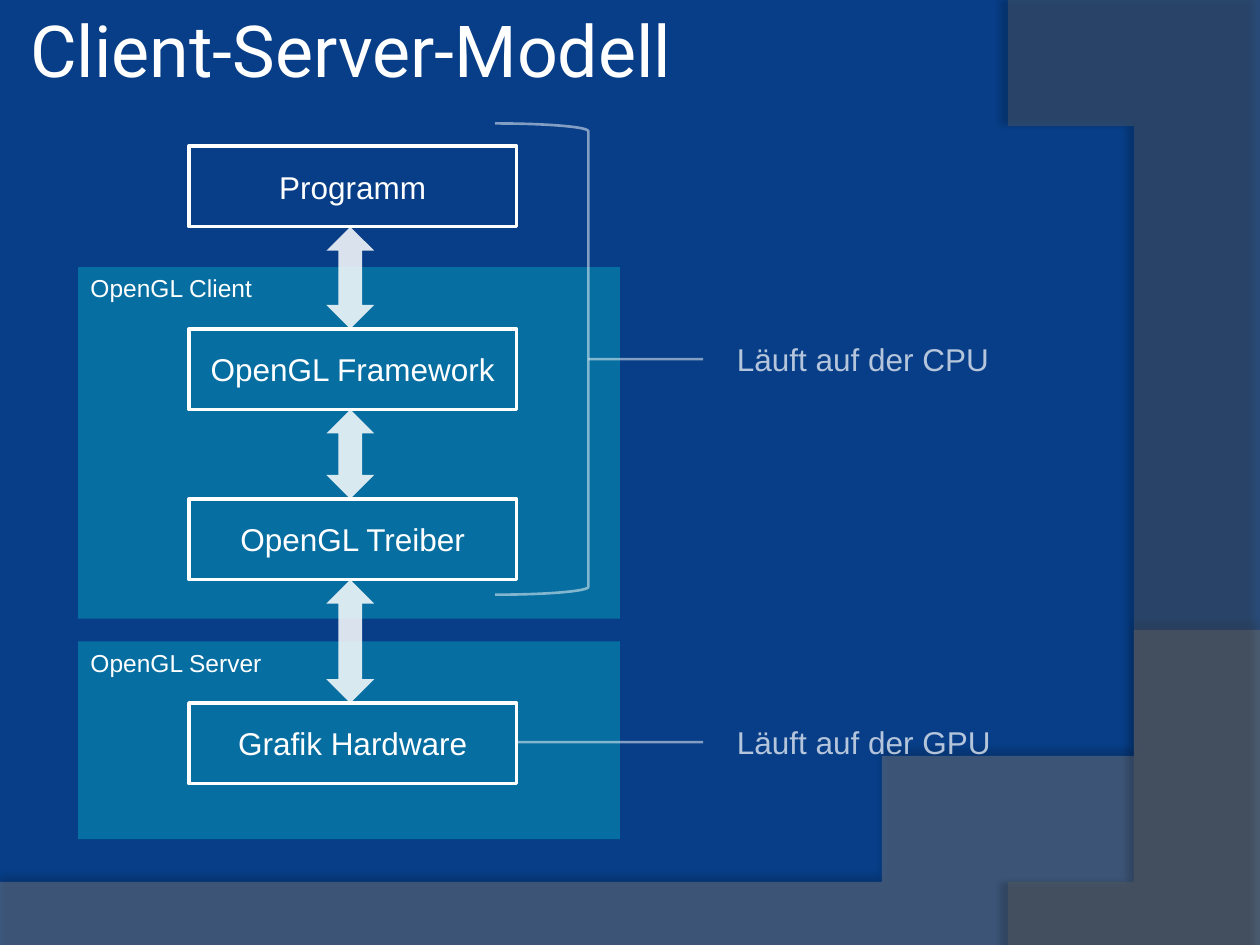
"""Build the slide about the OpenGL client-server model."""
from itertools import pairwise

from lxml.etree import SubElement
from pptx import Presentation
from pptx.dml.color import RGBColor
from pptx.enum.shapes import MSO_CONNECTOR as Connector, MSO_SHAPE as Shape
from pptx.enum.text import MSO_ANCHOR as Anchor, PP_ALIGN as Align
from pptx.oxml.ns import qn
from pptx.util import Inches, Pt


def rgb(value):
    return RGBColor.from_string(value)


def curve(start, control_1, control_2, end, steps=40):
    points = []
    for step in range(steps + 1):
        t = step / steps
        weights = ((1 - t) ** 3, 3 * t * (1 - t) ** 2, 3 * t**2 * (1 - t), t**3)
        axes = zip(start, control_1, control_2, end)
        points.append(tuple(sum(w * v for w, v in zip(weights, axis)) for axis in axes))
    return points


class ModelSlide:
    """Hold the style and the current slide, and draw each kind of element."""

    navy, white, cyan = "073E87", "FFFFFF", "05E0DB"
    body_font, title_font = "Arial", "Roboto"

    def __init__(self, deck):
        self.slide = deck.slides.add_slide(deck.slide_layouts[6])
        self.shapes = self.slide.shapes
        background = self.slide.background.fill
        background.solid()
        background.fore_color.rgb = rgb(self.navy)

    def paint(self, fill, element, colour, opacity=100):
        fill.solid()
        fill.fore_color.rgb = rgb(colour)
        if opacity < 100:
            newest = list(element.iter(qn("a:srgbClr")))[-1]
            SubElement(newest, qn("a:alpha"), val=str(opacity * 1000))

    def wave(self, points, colour, opacity, shadow_opacity, distance, angle):
        builder = self.shapes.build_freeform(*points[0], scale=Inches(1))
        builder.add_line_segments(points[1:], close=True)
        wave = builder.convert_to_shape()
        wave.shadow.inherit = False
        self.paint(wave.fill, wave.element, colour, opacity)
        wave.line.fill.background()
        effects = wave.element.spPr.find(qn("a:effectLst"))
        shadow = SubElement(effects, qn("a:outerShdw"), blurRad=str(Pt(4)),
                            dist=str(Pt(distance)), dir=str(angle * 60000), rotWithShape="0")
        black = SubElement(shadow, qn("a:srgbClr"), val="000000")
        SubElement(black, qn("a:alpha"), val=str(shadow_opacity * 1000))

    def shape(self, kind, left, top, width, height, fill=None, opacity=100,
              line=None, line_width=2, line_opacity=100):
        shape = self.shapes.add_shape(kind, *map(Inches, (left, top, width, height)))
        shape.shadow.inherit = False
        if fill:
            self.paint(shape.fill, shape.element, fill, opacity)
        else:
            shape.fill.background()
        if line:
            self.paint(shape.line.fill, shape.element, line, line_opacity)
            shape.line.width = Pt(line_width)
        else:
            shape.line.fill.background()
        return shape

    def label(self, shape, text, size, font=None, align=Align.LEFT, anchor=Anchor.TOP, opacity=100):
        shape.text_frame.vertical_anchor = anchor
        paragraph = shape.text_frame.paragraphs[0]
        paragraph.text = text
        paragraph.alignment = align
        paragraph.font.size = Pt(size)
        paragraph.font.name = font or self.body_font
        self.paint(paragraph.font.fill, shape.element, self.white, opacity)

    def title(self, text):
        title = self.shapes.add_textbox(*map(Inches, (0.19, 0, 6.49, 1.08)))
        frame = title.text_frame
        frame.word_wrap = True
        frame.margin_left = frame.margin_right = Inches(0.05)
        self.label(title, text, 41, self.title_font)

    def area(self, text, top, height):
        area = self.shape(Shape.RECTANGLE, 0.62, top, 4.3, height, self.cyan, 30)
        self.label(area, text, 14)

    def stage(self, text, top, height):
        stage = self.shape(Shape.RECTANGLE, 1.5, top, 2.6, height, line=self.white)
        self.label(stage, text, 18, align=Align.CENTER, anchor=Anchor.MIDDLE)

    def exchange(self, top, bottom):
        self.shape(Shape.UP_DOWN_ARROW, 2.59, top, 0.38, bottom - top, self.white, 85)

    def bracket(self, left, top, width, height):
        self.shape(Shape.RIGHT_BRACKET, left, top, width, height,
                   line=self.white, line_width=1.5, line_opacity=49)

    def callout(self, text, start, y):
        leader = self.shapes.add_connector(
            Connector.STRAIGHT, *map(Inches, (start, y, 5.58, y)))
        self.paint(leader.line.fill, leader.element, self.white, 49)
        leader.line.width = Pt(1.5)
        SubElement(leader.element.spPr, qn("a:effectLst"))
        note = self.shapes.add_textbox(*map(Inches, (5.75, y - 0.2, 2.24, 0.4)))
        note.text_frame.word_wrap = False
        self.label(note, text, 18, opacity=70)


def main():
    deck = Presentation()
    deck.slide_width, deck.slide_height = Inches(10), Inches(7.5)
    model = ModelSlide(deck)

    bottom_wave = [(0, 7.5), (10, 7.5), *curve((10, 5.2), (5.59, 7.29), (3.91, 7.19), (0, 7.05))]
    side_wave = [(10, 0.02), (10, 7.5), *curve((8.21, 7.5), (9.35, 6.19), (10.18, 3), (8, 0))]
    model.wave(bottom_wave, "7F7F7F", 45, 35, 3.5, 270)
    model.wave(side_wave, "5E5E5E", 40, 45, 4, 180)

    model.area("OpenGL Server", 5.09, 1.57)
    model.area("OpenGL Client", 2.12, 2.79)
    model.title("Client-Server-Modell")

    stage_height = 0.64
    stages = {"Programm": 1.16, "OpenGL Framework": 2.61,
              "OpenGL Treiber": 3.96, "Grafik Hardware": 5.58}
    for name, top in stages.items():
        model.stage(name, top, stage_height)

    model.bracket(3.93, 0.98, 0.74, 3.74)
    model.callout("Läuft auf der CPU", 4.67, 2.85)
    model.callout("Läuft auf der GPU", 4.1, 5.89)
    for upper, lower in pairwise(stages.values()):
        model.exchange(upper + stage_height, lower)

    deck.save("out.pptx")


if __name__ == "__main__":
    main()
